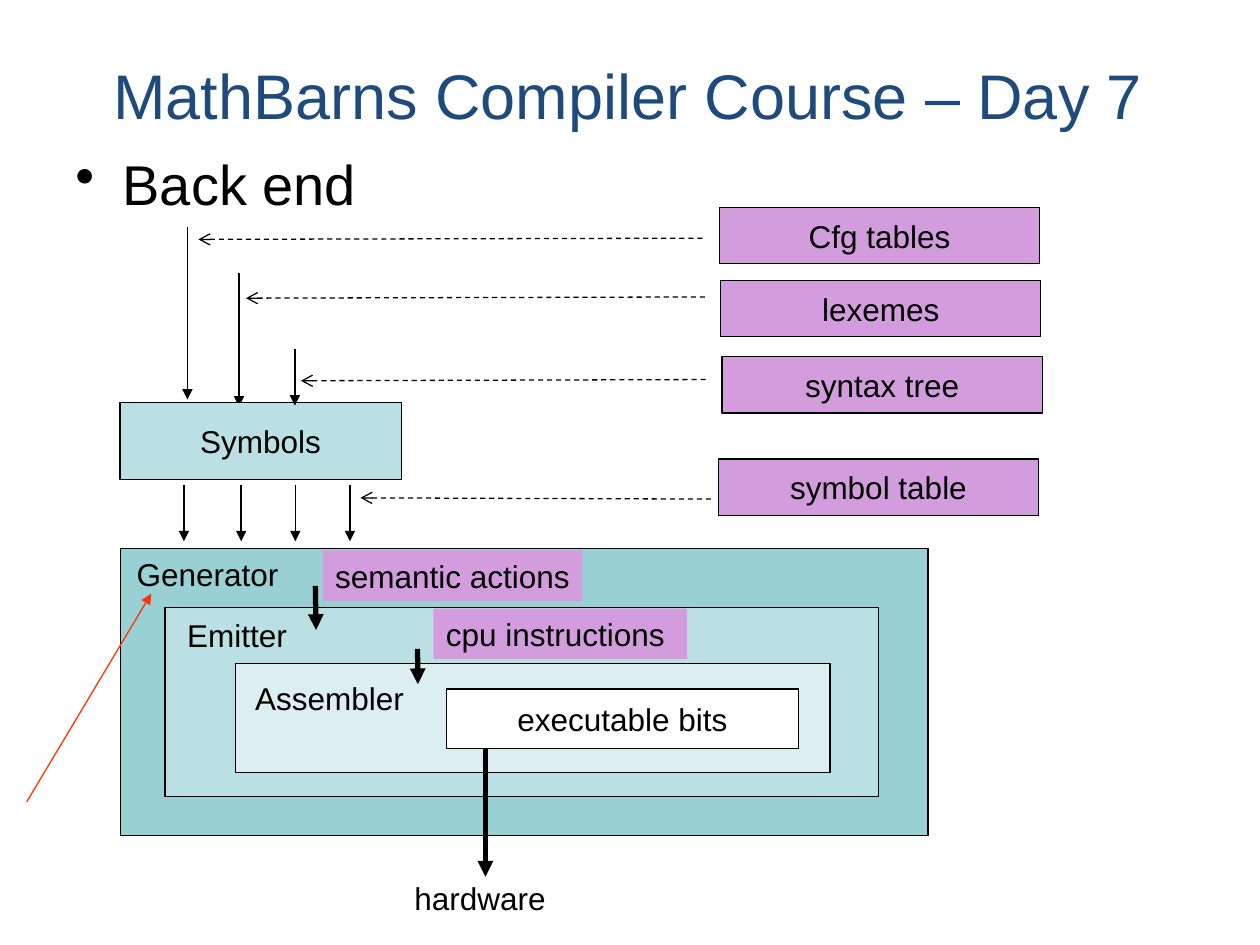
from dataclasses import dataclass

from lxml.etree import SubElement
from pptx import Presentation
from pptx.dml.color import RGBColor
from pptx.enum.dml import MSO_LINE
from pptx.enum.shapes import MSO_CONNECTOR, MSO_SHAPE
from pptx.enum.text import MSO_ANCHOR, PP_ALIGN
from pptx.oxml.ns import qn
from pptx.util import Pt


@dataclass(frozen=True)
class Theme:
    font: str = "Arial"
    ink: str = "000000"
    title: str = "1E4B7C"
    data: str = "D39CDC"
    outer: str = "98D0D4"
    mid: str = "BBE0E3"
    inner: str = "DCEEF0"
    white: str = "FFFFFF"
    alert: str = "FF3300"
    big: float = 36
    body: float = 32
    small: float = 18
    thin: float = 0.75
    thick: float = 3


THEME = Theme()


def paint(color):
    return RGBColor.from_string(color)


def write(shape, text, size=THEME.small, color=THEME.ink, wrap=False):
    frame = shape.text_frame
    frame.word_wrap = wrap
    para = frame.paragraphs[0]
    para.text = text
    para.font.name = THEME.font
    para.font.size = Pt(size)
    para.font.color.rgb = paint(color)
    return para


def label(slide, text, x, y, w, h=28.8, fill=None, wrap=False, **style):
    box = slide.shapes.add_textbox(Pt(x), Pt(y), Pt(w), Pt(h))
    if fill:
        box.fill.solid()
        box.fill.fore_color.rgb = paint(fill)
    return write(box, text, wrap=wrap, **style)


def block(slide, x, y, w, h, fill, text=None):
    rect = slide.shapes.add_shape(MSO_SHAPE.RECTANGLE, Pt(x), Pt(y), Pt(w), Pt(h))
    rect.shadow.inherit = False
    rect.fill.solid()
    rect.fill.fore_color.rgb = paint(fill)
    rect.line.color.rgb = paint(THEME.ink)
    rect.line.width = Pt(THEME.thin)
    if text:
        rect.text_frame.vertical_anchor = MSO_ANCHOR.MIDDLE
        write(rect, text).alignment = PP_ALIGN.CENTER


def arrow(slide, x1, y1, x2, y2, color=THEME.ink, width=THEME.thin, dash=False):
    """Solid arrows point at their end, dashed ones at their start."""
    link = slide.shapes.add_connector(
        MSO_CONNECTOR.STRAIGHT, Pt(x1), Pt(y1), Pt(x2), Pt(y2))
    link.line.color.rgb = paint(color)
    link.line.width = Pt(width)
    if dash:
        link.line.dash_style = MSO_LINE.DASH
    tip, kind = ("a:headEnd", "arrow") if dash else ("a:tailEnd", "triangle")
    SubElement(link.line._get_or_add_ln(), qn(tip), type=kind)
    SubElement(link._element.spPr, qn("a:effectLst"))


def heading(slide):
    para = label(slide, "Back end", 36, 82.1, 658.8, 457.9,
                 wrap=True, size=THEME.body)
    props = para._p.get_or_add_pPr()
    props.set("marL", str(Pt(27)))
    props.set("indent", str(Pt(-27)))
    bullet = SubElement(props, qn("a:buChar"), char="•")
    props.insert_element_before(bullet, "a:tabLst", "a:defRPr")
    label(slide, "MathBarns Compiler Course – Day 7", 57.6, 28.8, 610.6, 50.4,
          size=THEME.big, color=THEME.title)


def inputs(slide):
    # Flows into and out of the symbols box
    for x, top, end in ((107.1, 129.8, 228.3), (136.6, 155.8, 232.3)):
        arrow(slide, x, top, x, end)
    block(slide, 68.5, 230, 160.8, 44, THEME.mid, "Symbols")
    arrow(slide, 168.5, 199.7, 168.5, 231.8)
    for x in (105.1, 137.8, 168.8, 200):
        arrow(slide, x, 277.3, x, 309.3)

    # Data tables, each with a dashed arrow to its flow
    tables = (
        ("Cfg tables", 411.1, 118.6, 113.4, 136.8, 402, 136.1),
        ("lexemes", 411.8, 160.3, 140.6, 170.4, 402.8, 169.7),
        ("syntax tree", 412.6, 203.8, 172, 217.6, 404.3, 216.9),
        ("symbol table", 410.5, 262.3, 206, 284.5, 406.2, 285.2),
    )
    for text, x, y, *ends in tables:
        block(slide, x, y, 183, 32.2, THEME.data, text)
        arrow(slide, *ends, dash=True)


def stages(slide):
    # Nested stages, outermost first
    block(slide, 68.8, 313.3, 461.5, 164, THEME.outer)
    label(slide, "Generator", 71, 313.5, 95.3)
    block(slide, 94.3, 347, 407.8, 108.2, THEME.mid)
    label(slide, "Emitter", 99.8, 348.5, 71.3)
    block(slide, 134.6, 379.2, 339.8, 62.4, THEME.inner)
    label(slide, "Assembler", 138.7, 384.5, 99.4)

    # What passes from stage to stage
    arrow(slide, 180.2, 334.8, 180.6, 360, width=THEME.thick)
    arrow(slide, 238.6, 370.8, 238.8, 391, width=THEME.thick)
    label(slide, "semantic actions", 184.5, 314.6, 148.3, fill=THEME.data)
    label(slide, "cpu instructions", 247.7, 347.8, 145, fill=THEME.data, wrap=True)
    block(slide, 255, 393.8, 201.4, 34, THEME.white, "executable bits")

    # Final output and the marker on the generator
    arrow(slide, 277.4, 427.8, 277.4, 501, width=THEME.thick)
    label(slide, "hardware", 229.7, 498.5, 99.4, wrap=True)
    arrow(slide, 15.3, 458.2, 86.4, 339.3, color=THEME.alert)


def main():
    deck = Presentation()
    deck.slide_width, deck.slide_height = Pt(720), Pt(540)
    slide = deck.slides.add_slide(deck.slide_layouts[6])
    heading(slide)
    inputs(slide)
    stages(slide)
    deck.save("out.pptx")


if __name__ == "__main__":
    main()
